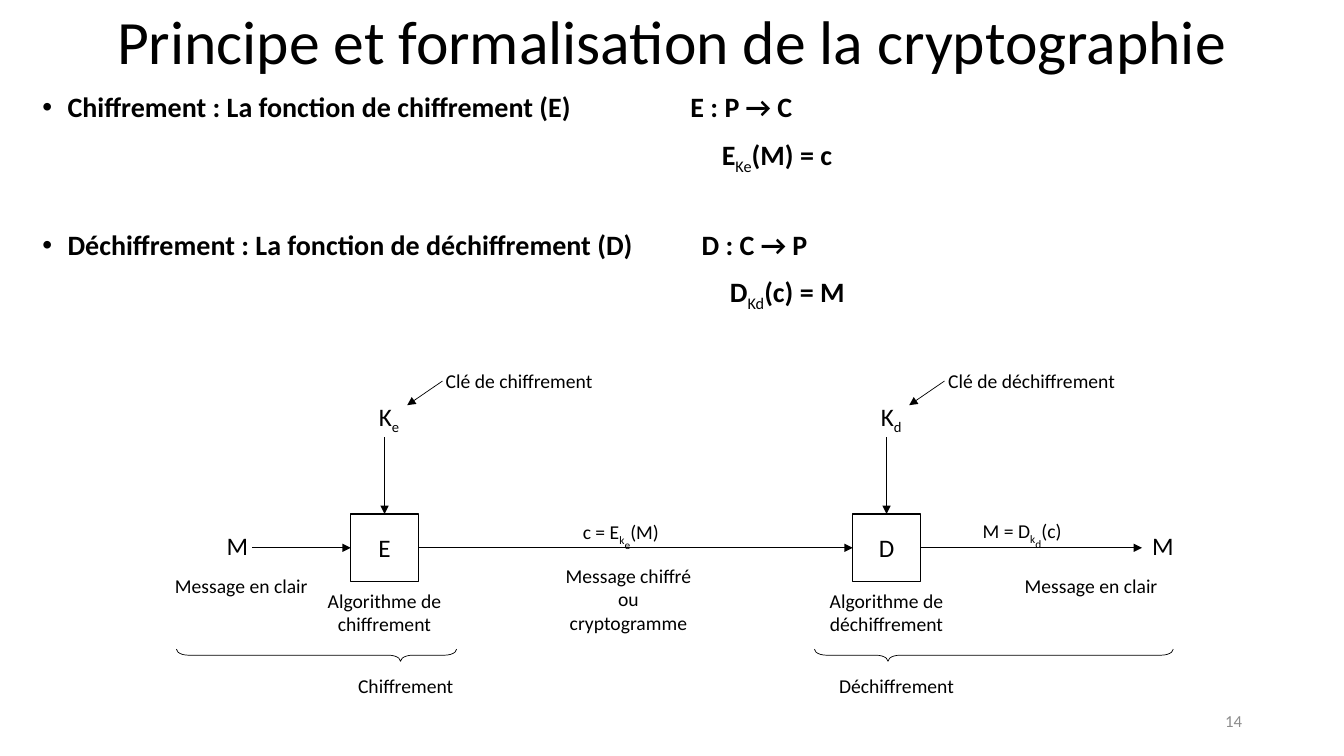
"""Build the slide on the principle and notation of cryptography."""
from lxml import etree
from pptx import Presentation
from pptx import util as u
from pptx.dml.color import RGBColor
from pptx.enum import shapes, text
from pptx.oxml.ns import qn

BLACK = RGBColor(0x00, 0x00, 0x00)
WHITE = RGBColor(0xFF, 0xFF, 0xFF)
GREY = RGBColor(0x8C, 0x8C, 0x8C)
FONT = "Calibri"
CELL = u.Inches(0.1)
COLUMNS, ROWS = 133.33, 75
STAGE_STEP = 49.8
BOX_SIDE, BOX_TOP = 6.7, 51
FLOW_ROW = BOX_TOP + BOX_SIDE / 2
BODY_LEFT, INSET, BULLET_INDENT = 3.2, 1, 2.5
CENTER, LEFT, RIGHT = text.PP_ALIGN.CENTER, text.PP_ALIGN.LEFT, text.PP_ALIGN.RIGHT


def cells(*counts):
    """Convert grid counts to lengths."""
    return [u.Emu(round(count * CELL)) for count in counts]


def apply(target, **values):
    """Set each named attribute on the target."""
    for name, value in values.items():
        setattr(target, name, value)


def write(paragraph, runs, size, bold=False, color=BLACK):
    """Write runs given as strings or (string, baseline percent) pairs."""
    for part in runs:
        words, baseline = (part, 0) if isinstance(part, str) else part
        run = paragraph.add_run()
        run.text = words
        apply(run.font, name=FONT, size=u.Pt(size), bold=bold and not baseline)
        run.font.color.rgb = color
        if baseline:
            run._r.get_or_add_rPr().set("baseline", str(baseline * 1000))


def label(slide, place, lines, size=14, align=CENTER, color=BLACK,
          anchor=text.MSO_ANCHOR.TOP):
    """Add a text box holding one paragraph per line."""
    frame = slide.shapes.add_textbox(*cells(*place)).text_frame
    apply(frame, word_wrap=True, vertical_anchor=anchor,
          auto_size=text.MSO_AUTO_SIZE.SHAPE_TO_FIT_TEXT)
    for index, runs in enumerate(lines):
        paragraph = frame.add_paragraph() if index else frame.paragraphs[0]
        paragraph.alignment = align
        write(paragraph, runs, size, color=color)


def arrow(slide, start, end, source=None, target=None):
    """Add an arrow, joined to (box, side) pairs where given."""
    link = slide.shapes.add_connector(
        shapes.MSO_CONNECTOR.STRAIGHT, *cells(*start, *end))
    if source:
        link.begin_connect(*source)
    if target:
        link.end_connect(*target)
    link.line.width = u.Pt(0.5)
    link.line.color.rgb = BLACK
    etree.SubElement(link.line._get_or_add_ln(), qn("a:tailEnd"), type="triangle")
    etree.SubElement(link._element.spPr, qn("a:effectLst"))


def brace(slide, left, width, tip):
    """Add a brace below a span, its tip at a share of the width."""
    depth, middle_row = 1.2, 65
    place = (left + (width - depth) / 2, middle_row - width / 2, depth, width)
    curve = slide.shapes.add_shape(shapes.MSO_SHAPE.LEFT_BRACE, *cells(*place))
    apply(curve, rotation=270)
    curve.adjustments[0], curve.adjustments[1] = 1, tip
    curve.shadow.inherit = False
    curve.fill.background()
    curve.line.width = u.Pt(0.5)
    curve.line.color.rgb = BLACK


def stage(slide, left, letter, key, action, key_width):
    """Add an algorithm box with its key, and return the box."""
    box = slide.shapes.add_shape(
        shapes.MSO_SHAPE.RECTANGLE, *cells(left, BOX_TOP, BOX_SIDE, BOX_SIDE))
    box.shadow.inherit = False
    box.fill.solid()
    box.fill.fore_color.rgb = WHITE
    box.line.color.rgb = BLACK
    box.line.width = u.Pt(1)
    box.text_frame.vertical_anchor = text.MSO_ANCHOR.MIDDLE
    box.text_frame.paragraphs[0].alignment = CENTER
    write(box.text_frame.paragraphs[0], [letter], 18)
    middle = left + BOX_SIDE / 2
    arrow(slide, (middle, 43.4), (middle, BOX_TOP), target=(box, 0))
    label(slide, (left + 1.8, 39.3, 4.9, 4), [["K", (key, -25)]], 18, LEFT)
    label(slide, (left - 4.8, 57.9, 16.3, 5.7), [[f"Algorithme de {action}"]])
    arrow(slide, (left + 9.1, 37.8), (left + 5.6, 40.2))
    label(slide, (left + 7.6, 36.1, key_width, 3.4), [[f"Clé de {action}"]])
    return box


def definition(paragraph, runs, column, bulleted, space_before):
    """Format one line whose formula starts at the given column."""
    apply(paragraph, alignment=LEFT, line_spacing=0.9, space_before=u.Pt(space_before))
    offset = column - BODY_LEFT - INSET
    margin, indent = (BULLET_INDENT, -BULLET_INDENT) if bulleted else (offset, 0)
    write(paragraph, runs, 20, bold=True)
    props = paragraph._p.get_or_add_pPr()
    for name, length in zip(("marL", "indent"), cells(margin, indent)):
        props.set(name, str(length))
    if bulleted:
        etree.SubElement(props, qn("a:buChar"), char="•")
        stops = etree.SubElement(props, qn("a:tabLst"))
        stop = cells(offset - BULLET_INDENT)[0]
        etree.SubElement(stops, qn("a:tab"), pos=str(stop), algn="l")
    else:
        etree.SubElement(props, qn("a:buNone"))


def place_holder(holder, place, anchor):
    """Move a placeholder and return its text frame."""
    apply(holder, **dict(zip(("left", "top", "width", "height"), cells(*place))))
    apply(holder.text_frame, word_wrap=True, vertical_anchor=anchor,
          auto_size=text.MSO_AUTO_SIZE.NONE)
    return holder.text_frame


def headings(slide):
    """Fill the title and the definitions."""
    title = place_holder(slide.shapes.title, (9.2, 0, 115, 8.8), text.MSO_ANCHOR.MIDDLE)
    apply(title.paragraphs[0], line_spacing=0.9, alignment=CENTER)
    write(title.paragraphs[0], ["Principe et formalisation de la cryptographie"], 44)
    body = place_holder(slide.placeholders[1], (BODY_LEFT, 8.8, 127.7, 64.4),
                        text.MSO_ANCHOR.TOP)
    definitions = [
        (["Chiffrement : La fonction de chiffrement (E)\tE : P → C"], 71, True, 10),
        (["E", ("Ke", -25), "(M) = c"], 71.6, False, 10),
        (["Déchiffrement : La fonction de déchiffrement (D)\tD : C → P"], 72.1, True, 42),
        (["D", ("Kd", -25), "(c) = M"], 72.4, False, 10),
    ]
    for index, entry in enumerate(definitions):
        definition(body.add_paragraph() if index else body.paragraphs[0], *entry)


def diagram(slide):
    """Draw the flow from clear message to cipher and back."""
    encryption = stage(slide, 34.8, "E", "e", "chiffrement", 18.2)
    decryption = stage(slide, 34.8 + STAGE_STEP, "D", "d", "déchiffrement", 20.3)
    arrow(slide, (25, FLOW_ROW), (34.8, FLOW_ROW), target=(encryption, 1))
    arrow(slide, (41.5, FLOW_ROW), (84.6, FLOW_ROW), (encryption, 3), (decryption, 1))
    arrow(slide, (91.3, FLOW_ROW), (113.3, FLOW_ROW), (decryption, 3))
    for letter_left, caption_left in ((21.5, 15.8), (113.3, 100.1)):
        label(slide, (letter_left, 52.1, 4.9, 4), [["M"]], 18, LEFT)
        label(slide, (caption_left, 56.4, 16.3, 3.4), [["Message en clair"]])
    label(slide, (54.2, 55.4, 16.3, 8.1), [["Message chiffré ou"], ["cryptogramme"]])
    label(slide, (53.1, 51.1, 17, 3.4), [["c = E", ("k", -25), ("e", -50), "(M)"]])
    label(slide, (92.9, 51, 17, 3.4), [["M = D", ("k", -25), ("d", -50), "(c)"]])
    for left, width, tip, name_left, name in (
            (17.5, 27.8, 0.8, 32.1, "Chiffrement"),
            (80.8, 35.6, 0.205, 80.8, "Déchiffrement")):
        brace(slide, left, width, tip)
        label(slide, (name_left, 66.4, 16.3, 3.4), [[name]])


def main():
    """Build and save the presentation."""
    deck = Presentation()
    apply(deck, **dict(zip(("slide_width", "slide_height"), cells(COLUMNS, ROWS))))
    slide = deck.slides.add_slide(deck.slide_layouts[1])
    headings(slide)
    diagram(slide)
    label(slide, (94.2, 69.5, 30, 4), [["14"]], 12, RIGHT, GREY, text.MSO_ANCHOR.MIDDLE)
    deck.save("out.pptx")


if __name__ == "__main__":
    main()
